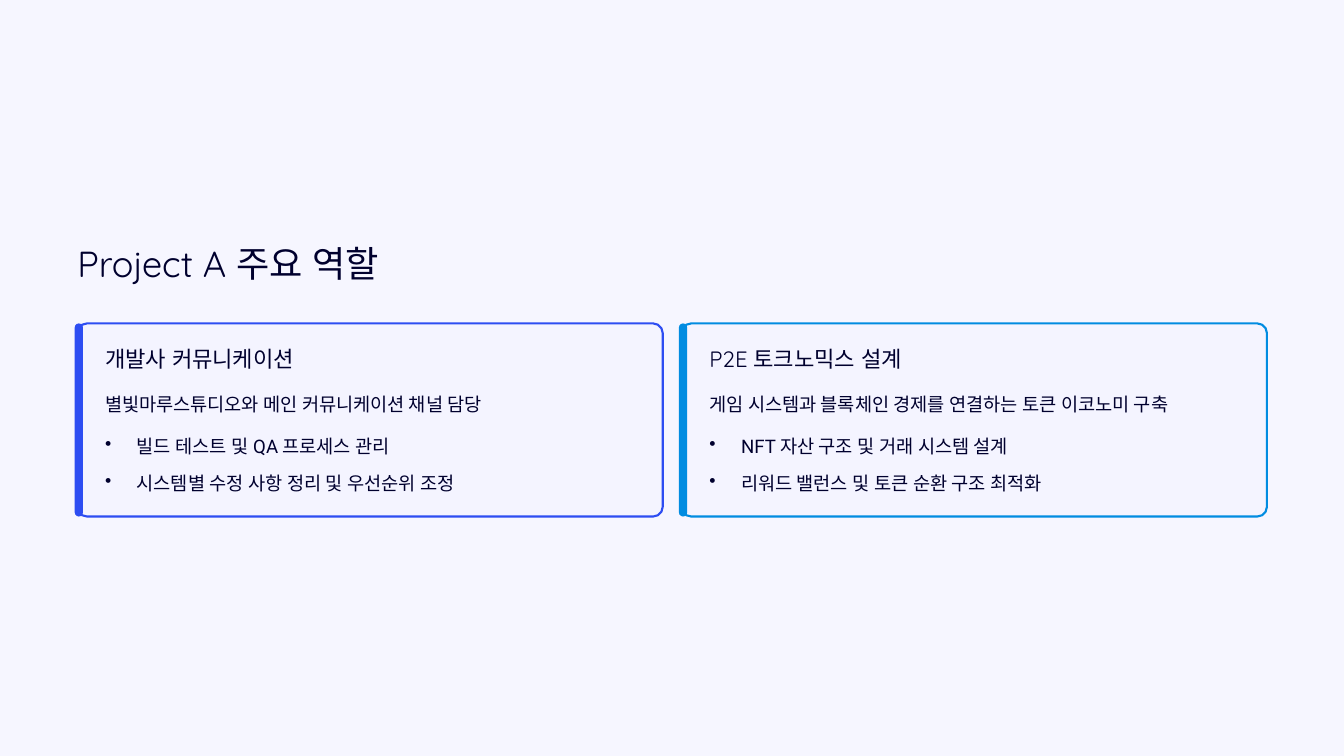
import dataclasses

import pptx
import pptx.dml.color
import pptx.enum.shapes
import pptx.enum.text
import pptx.oxml.ns
import pptx.util
from lxml import etree
from pptx.util import Cm, Pt


@dataclasses.dataclass(frozen=True)
class TextStyle:
    font: str
    size: float
    line_spacing: float


@dataclasses.dataclass(frozen=True)
class Theme:
    background: str = "F6F6FF"
    card: str = "F4F4FF"
    ink: str = "00002E"
    blue: str = "2D4DF2"
    sky: str = "018CE1"
    title: TextStyle = TextStyle("Quicksand", 31, 38.5)
    heading: TextStyle = TextStyle("Quicksand", 19, 24)
    body: TextStyle = TextStyle("Roboto", 16, 26)
    border: float = 1.8


THEME = Theme()

LEFT = 2.34
CARD_TOP, CARD_WIDTH, CARD_HEIGHT, CARD_STEP = 9.78, 17.7, 5.84, 18.27
BAR_WIDTH, BAR_OVERHANG = 0.25, 0.08
TEXT_INSET, TEXT_WIDTH, TEXT_HEIGHT = 0.84, 16.23, 0.94
HEADING_OFFSET, SUMMARY_OFFSET, BULLET_OFFSET, BULLET_STEP = 0.63, 1.85, 3.12, 1.14
BULLET_INDENT = 0.96

CARDS = [
    (THEME.blue, "개발사 커뮤니케이션",
     "별빛마루스튜디오와 메인 커뮤니케이션 채널 담당",
     ["빌드 테스트 및 QA 프로세스 관리", "시스템별 수정 사항 정리 및 우선순위 조정"]),
    (THEME.sky, "P2E 토크노믹스 설계",
     "게임 시스템과 블록체인 경제를 연결하는 토큰 이코노미 구축",
     ["NFT 자산 구조 및 거래 시스템 설계", "리워드 밸런스 및 토큰 순환 구조 최적화"]),
]


def color(value):
    return pptx.dml.color.RGBColor.from_string(value)


def add_bullet(paragraph):
    properties = paragraph._p.get_or_add_pPr()
    properties.set("marL", str(Cm(BULLET_INDENT)))
    properties.set("indent", str(-Cm(BULLET_INDENT)))
    etree.SubElement(properties, pptx.oxml.ns.qn("a:buChar"), char="•")


def add_text(slide, text, style, left, top, width, height, bullet=False):
    box = slide.shapes.add_textbox(Cm(left), Cm(top), Cm(width), Cm(height))
    frame = box.text_frame
    frame.margin_left = frame.margin_right = frame.margin_top = frame.margin_bottom = 0
    frame.word_wrap = False
    frame.text = text
    paragraph = frame.paragraphs[0]
    paragraph.alignment = pptx.enum.text.PP_ALIGN.LEFT
    paragraph.line_spacing = Pt(style.line_spacing)
    if bullet:
        add_bullet(paragraph)
    run = paragraph.runs[0]
    run.font.name = style.font
    run.font.size = Pt(style.size)
    run.font.color.rgb = color(THEME.ink)
    # Korean glyphs follow the East Asian typeface
    etree.SubElement(run._r.get_or_add_rPr(), pptx.oxml.ns.qn("a:ea"), typeface=style.font)


def add_rounded(slide, left, width, fill, radius, line=None):
    shape = slide.shapes.add_shape(
        pptx.enum.shapes.MSO_SHAPE.ROUNDED_RECTANGLE,
        Cm(left), Cm(CARD_TOP), Cm(width), Cm(CARD_HEIGHT))
    shape.adjustments[0] = radius
    shape.shadow.inherit = False
    shape.fill.solid()
    shape.fill.fore_color.rgb = color(fill)
    if line:
        shape.line.color.rgb = color(line)
        shape.line.width = Pt(THEME.border)
    else:
        shape.line.fill.background()


def add_card(slide, left, accent, heading, summary, bullets):
    add_rounded(slide, left, CARD_WIDTH, THEME.card, 0.05, accent)
    add_rounded(slide, left - BAR_OVERHANG, BAR_WIDTH, accent, 0.5)
    text_left = left + TEXT_INSET
    add_text(slide, heading, THEME.heading, text_left, CARD_TOP + HEADING_OFFSET, 6.83, 0.86)
    add_text(slide, summary, THEME.body, text_left, CARD_TOP + SUMMARY_OFFSET,
             TEXT_WIDTH, TEXT_HEIGHT)
    for index, bullet in enumerate(bullets):
        add_text(slide, bullet, THEME.body, text_left,
                 CARD_TOP + BULLET_OFFSET + index * BULLET_STEP,
                 TEXT_WIDTH, TEXT_HEIGHT, bullet=True)


def main():
    presentation = pptx.Presentation()
    presentation.slide_width, presentation.slide_height = Cm(40.64), Cm(22.86)
    slide = presentation.slides.add_slide(presentation.slide_layouts[6])
    slide.background.fill.solid()
    slide.background.fill.fore_color.rgb = color(THEME.background)
    add_text(slide, "Project A 주요 역할", THEME.title, LEFT, 7.24, 10.95, 1.37)
    for index, card in enumerate(CARDS):
        add_card(slide, LEFT + index * CARD_STEP, *card)
    presentation.save("out.pptx")


if __name__ == "__main__":
    main()
